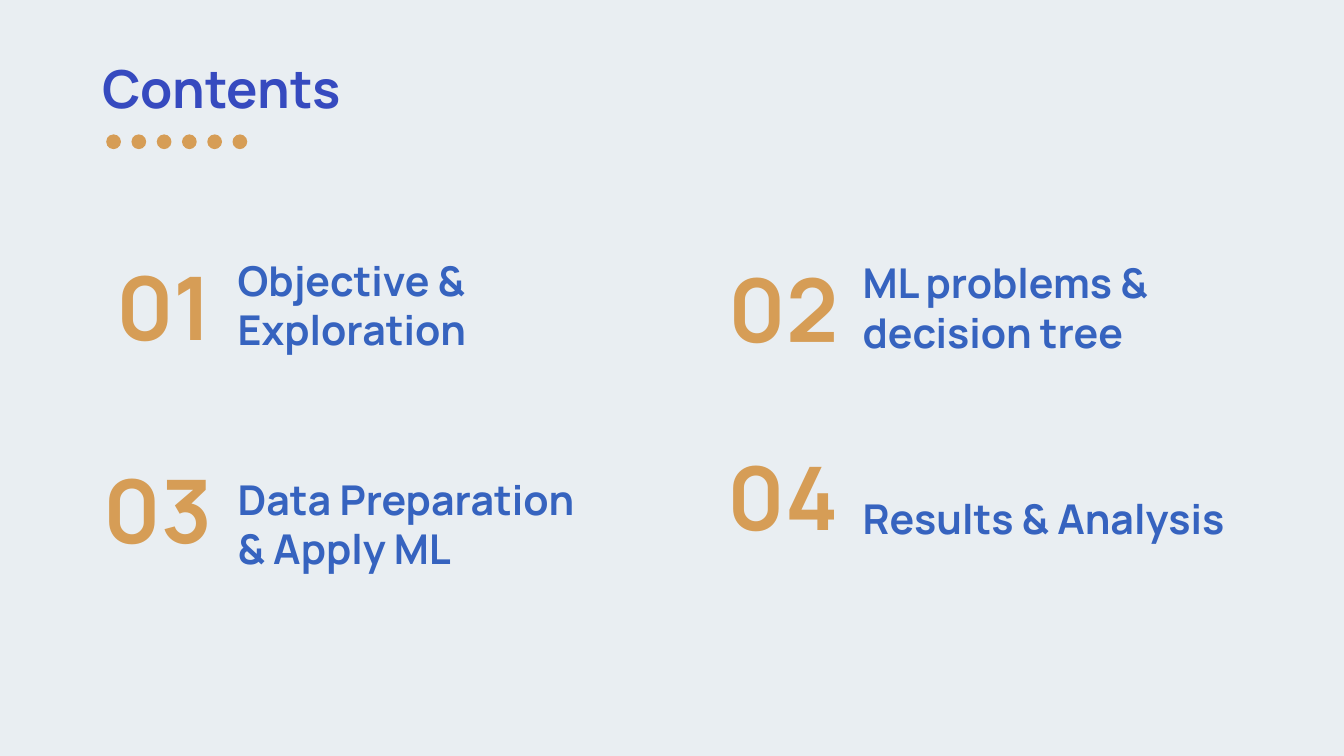
from dataclasses import dataclass

from pptx import Presentation
from pptx.dml.color import RGBColor
from pptx.enum.shapes import MSO_SHAPE as Shape
from pptx.enum.text import MSO_ANCHOR as Anchor, MSO_AUTO_SIZE as AutoSize, PP_ALIGN as Align
from pptx.util import Inches, Pt


@dataclass(frozen=True)
class Theme:
    font: str = "Manrope"
    background: str = "E9EEF2"
    title: str = "364ABF"
    topic: str = "3663BF"
    accent: str = "D69D56"
    title_size: int = 28
    topic_size: int = 22
    number_size: int = 47


class ContentsPage:
    def __init__(self, deck, theme):
        self.theme = theme
        self.page = deck.slides.add_slide(deck.slide_layouts[5])
        fill = self.page.background.fill
        fill.solid()
        fill.fore_color.rgb = RGBColor.from_string(theme.background)

    def format_text(self, box, text, size, color, anchor=Anchor.MIDDLE, align=Align.LEFT):
        frame = box.text_frame
        frame.text = text
        frame.word_wrap = True
        frame.auto_size = AutoSize.NONE
        frame.vertical_anchor = anchor
        frame.margin_left = frame.margin_right = Inches(0.1)
        frame.margin_top = frame.margin_bottom = Inches(0.1)
        for para in frame.paragraphs:
            para.alignment = align
            para.space_before = Pt(0)
            for span in para.runs:
                span.font.name = self.theme.font
                span.font.size = Pt(size)
                span.font.bold = True
                span.font.color.rgb = RGBColor.from_string(color)

    def title(self, text, left, top, width, height):
        box = self.page.shapes.title
        box.left, box.top = Inches(left), Inches(top)
        box.width, box.height = Inches(width), Inches(height)
        self.format_text(box, text, self.theme.title_size, self.theme.title, Anchor.TOP)

    def add_box(self, left, top, width, height):
        return self.page.shapes.add_textbox(
            Inches(left), Inches(top), Inches(width), Inches(height)
        )

    def number(self, text, left, top):
        box = self.add_box(left, top, 1.16, 0.56)
        self.format_text(
            box, text, self.theme.number_size, self.theme.accent, align=Align.RIGHT
        )

    def topic(self, text, left, top, width):
        box = self.add_box(left, top, width, 0.63)
        self.format_text(box, text, self.theme.topic_size, self.theme.topic)

    def dots(self, count, first_left, last_left, top, size):
        pitch = (last_left - first_left) / (count - 1)
        group = self.page.shapes.add_group_shape()
        for index in range(count):
            dot = group.shapes.add_shape(
                Shape.OVAL,
                Inches(first_left + index * pitch),
                Inches(top),
                Inches(size),
                Inches(size),
            )
            dot.shadow.inherit = False
            dot.fill.solid()
            dot.fill.fore_color.rgb = RGBColor.from_string(self.theme.accent)
            dot.line.fill.background()


NUMBER_LEFTS = (0.52, 5.18)
TOPIC_LEFTS = (1.67, 6.32)
TOPICS = [
    ("Objective & Exploration", 1.99, 1.95, 2.78),
    ("ML problems & decision tree", 2.01, 1.97, 2.78),
    ("Data Preparation\n& Apply ML", 3.5, 3.58, 2.78),
    ("Results & Analysis", 3.41, 3.54, 3.47),
]


def main():
    deck = Presentation()
    deck.slide_width = Inches(10)
    deck.slide_height = deck.slide_width * 9 // 16
    contents = ContentsPage(deck, Theme())
    contents.title("Contents", 0.66, 0.32, 6.65, 0.63)
    contents.dots(count=6, first_left=0.79, last_left=1.73, top=1, size=0.11)
    for index, (text, number_top, topic_top, width) in enumerate(TOPICS):
        column = index % 2
        contents.number(f"{index + 1:02}", NUMBER_LEFTS[column], number_top)
        contents.topic(text, TOPIC_LEFTS[column], topic_top, width)
    deck.save("out.pptx")


if __name__ == "__main__":
    main()
